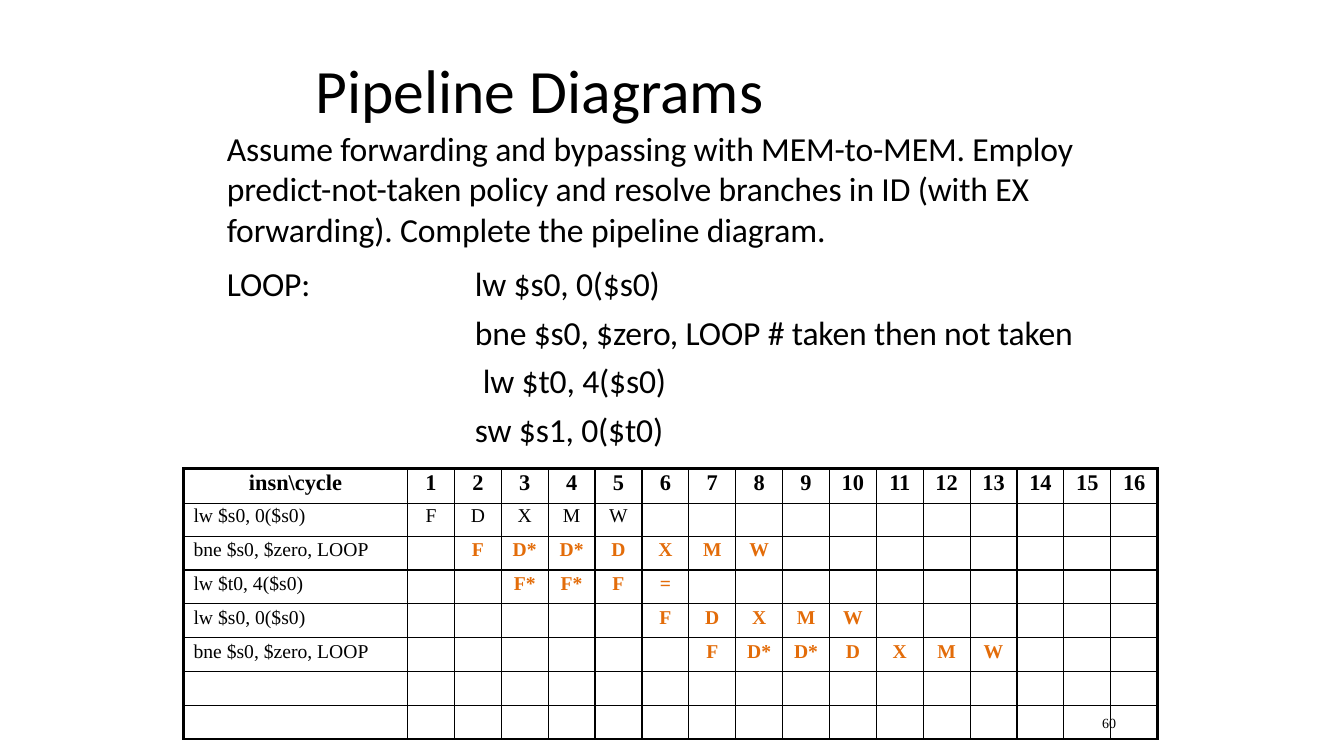
from dataclasses import dataclass

from lxml.etree import SubElement
from pptx import Presentation
from pptx.dml.color import RGBColor
from pptx.enum.text import MSO_ANCHOR, MSO_AUTO_SIZE, PP_ALIGN
from pptx.oxml.ns import qn
from pptx.util import Inches, Pt


@dataclass(frozen=True)
class Theme:
    ink: str = "000000"
    answer: str = "E36C09"
    sans: str = "Calibri"
    serif: str = "Times New Roman"
    title: int = 44
    text: int = 24
    header: int = 16
    cell: int = 14
    page: int = 10
    thin: float = 1
    thick: float = 2.25


T = Theme()
SLIDE_W, SLIDE_H = Inches(13.33), Inches(7.5)
CYCLES = 16
LABEL_SHARE = 0.23
ROW_SHARES = [0.13, 0.12] + [0.125] * 6

QUESTION = ("Assume forwarding and bypassing with MEM-to-MEM. Employ "
            "predict-not-taken policy and resolve branches in ID (with EX "
            "forwarding). Complete the pipeline diagram.")
# Instruction and its indent in inches
CODE = [("lw $s0, 0($s0)", 1.27),
        ("bne $s0, $zero, LOOP # taken then not taken", 1.27),
        ("lw $t0, 4($s0)", 1.35),
        ("sw $s1, 0($t0)", 1.27)]
# Instruction, first cycle, stages, given or answered
PIPELINE = [("lw $s0, 0($s0)", 1, "F D X M W", False),
            ("bne $s0, $zero, LOOP", 2, "F D* D* D X M W", True),
            ("lw $t0, 4($s0)", 3, "F* F* F =", True),
            ("lw $s0, 0($s0)", 6, "F D X M W", True),
            ("bne $s0, $zero, LOOP", 7, "F D* D* D X M W", True)]


def area(left, top, width, height):
    """Turn percentages of the slide into lengths."""
    return (int(SLIDE_W * left / 100), int(SLIDE_H * top / 100),
            int(SLIDE_W * width / 100), int(SLIDE_H * height / 100))


def add_run(p, text, size, font=T.sans, color=T.ink, bold=False, spacing=0):
    r = p.add_run()
    r.text = text
    r.font.size = Pt(size)
    r.font.name = font
    r.font.bold = bold
    r.font.color.rgb = RGBColor.from_string(color)
    if spacing:
        r.font._element.set("spc", str(int(spacing * 100)))


def prepare_frame(sp, top_margin=0.01, wrap=True):
    tf = sp.text_frame
    tf.word_wrap = wrap
    tf.auto_size = MSO_AUTO_SIZE.NONE
    tf.vertical_anchor = MSO_ANCHOR.TOP
    tf.margin_left = tf.margin_right = tf.margin_bottom = 0
    tf.margin_top = Inches(top_margin)
    return tf


def add_text(s, place, text, size, font=T.sans, spacing=0, wrap=True):
    sp = s.shapes.add_textbox(*area(*place))
    tf = prepare_frame(sp, wrap=wrap)
    add_run(tf.paragraphs[0], text, size, font, spacing=spacing)


def move(sp, place):
    sp.left, sp.top, sp.width, sp.height = area(*place)


def fill_title(s, place, text):
    sp = s.shapes.title
    move(sp, place)
    p = prepare_frame(sp).paragraphs[0]
    p.alignment = PP_ALIGN.LEFT
    add_run(p, text, T.title)


def fill_code(s, place):
    sp = s.placeholders[1]
    move(sp, place)
    tf = prepare_frame(sp, 0.09)
    for i, (line, indent) in enumerate(CODE):
        p = tf.add_paragraph() if i else tf.paragraphs[0]
        pPr = p._p.get_or_add_pPr()
        pPr.set("marL", str(Inches(indent)))
        pPr.set("indent", "0")
        p.space_before = Pt(5.8 if i else 0)
        SubElement(pPr, qn("a:buNone"))
        add_run(p, line, T.text, spacing=-0.1)


def set_borders(cell, outer):
    """Draw all four sides, thick where the side is in outer."""
    tcPr = cell._tc.get_or_add_tcPr()
    for i, side in enumerate("LRTB"):
        width = T.thick if side in outer else T.thin
        ln = SubElement(tcPr, qn(f"a:ln{side}"), w=str(Pt(width)))
        fill = SubElement(ln, qn("a:solidFill"))
        SubElement(fill, qn("a:srgbClr"), val=T.ink)
        tcPr.remove(ln)
        tcPr.insert(i, ln)


def write_cell(cell, text, size, align=PP_ALIGN.CENTER, **style):
    p = cell.text_frame.paragraphs[0]
    p.alignment = align
    add_run(p, text, size, T.serif, **style)


def add_pipeline(s, place):
    left, top, width, height = area(*place)
    n_rows, n_cols = len(ROW_SHARES), CYCLES + 1
    table = s.shapes.add_table(n_rows, n_cols, left, top, width, height).table
    table.first_row = table.horz_banding = False
    for row, share in zip(table.rows, ROW_SHARES):
        row.height = int(height * share)
    for i, col in enumerate(table.columns):
        col.width = int(width * ((1 - LABEL_SHARE) / CYCLES if i else LABEL_SHARE))

    for i in range(n_rows):
        for j in range(n_cols):
            cell = table.cell(i, j)
            cell.fill.background()
            cell.margin_left = cell.margin_right = cell.margin_bottom = 0
            cell.margin_top = Inches(0.02 if i < 2 else 0.03)
            edges = {"T": i == 0, "B": i == n_rows - 1,
                     "L": j == 0, "R": j == n_cols - 1}
            set_borders(cell, [side for side, on in edges.items() if on])

    for j in range(n_cols):
        write_cell(table.cell(0, j), str(j) if j else "insn\\cycle",
                   T.header, bold=True)
    for i, (insn, start, stages, answered) in enumerate(PIPELINE, 1):
        label = table.cell(i, 0)
        label.margin_left = Inches(0.1)
        write_cell(label, insn, T.cell, PP_ALIGN.LEFT)
        for j, stage in enumerate(stages.split(), start):
            write_cell(table.cell(i, j), stage, T.cell, bold=answered,
                       color=T.answer if answered else T.ink)


def main():
    prs = Presentation()
    prs.slide_width, prs.slide_height = SLIDE_W, SLIDE_H
    s = prs.slides.add_slide(prs.slide_layouts[1])
    fill_title(s, (23.48, 6.8, 44.8, 10.1), "Pipeline Diagrams")
    add_text(s, (16.88, 16.8, 63.8, 16.4), QUESTION, T.text, spacing=-0.1)
    add_text(s, (16.88, 34.67, 7, 5.7), "LOOP:", T.text, spacing=-0.1)
    fill_code(s, (25.8, 33.6, 55.5, 26.1))
    add_pipeline(s, (13.65, 62, 72.5, 35.3))
    add_text(s, (82, 94.4, 1.05, 2), "60", T.page, T.serif, wrap=False)
    prs.save("out.pptx")


if __name__ == "__main__":
    main()
